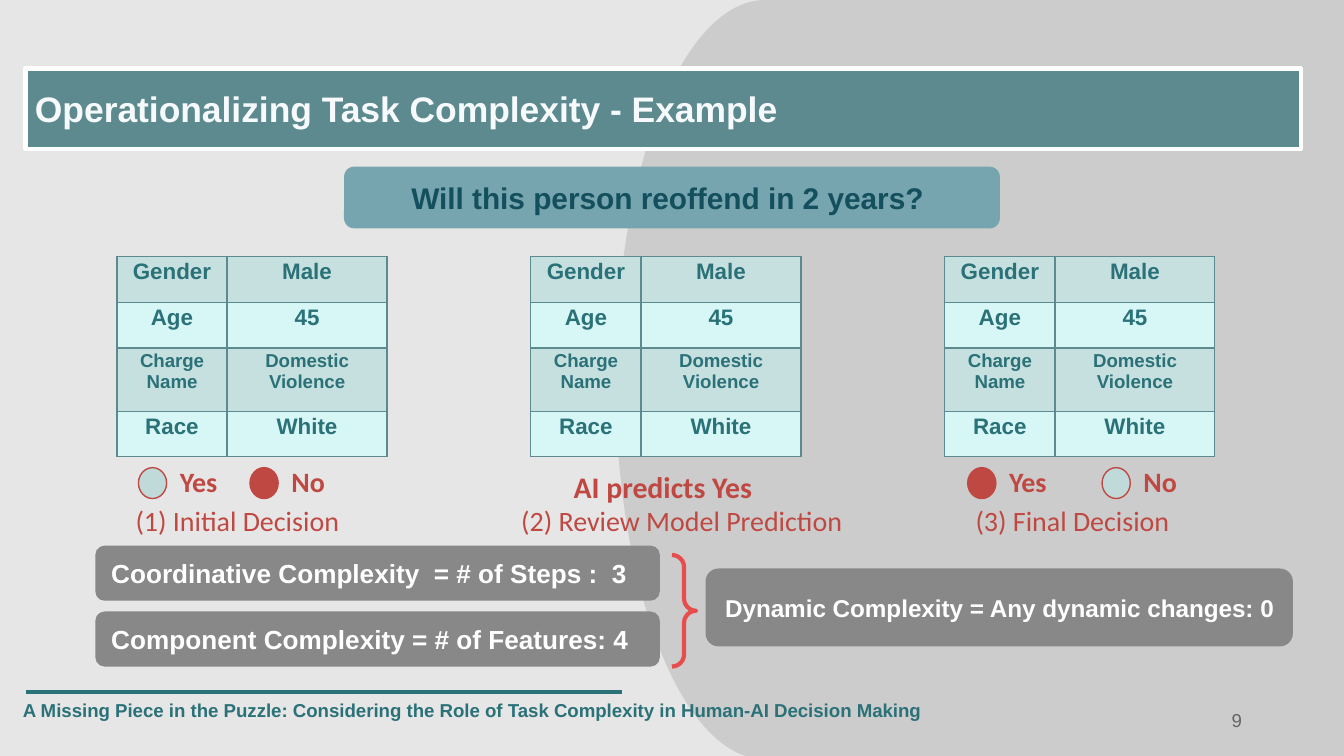
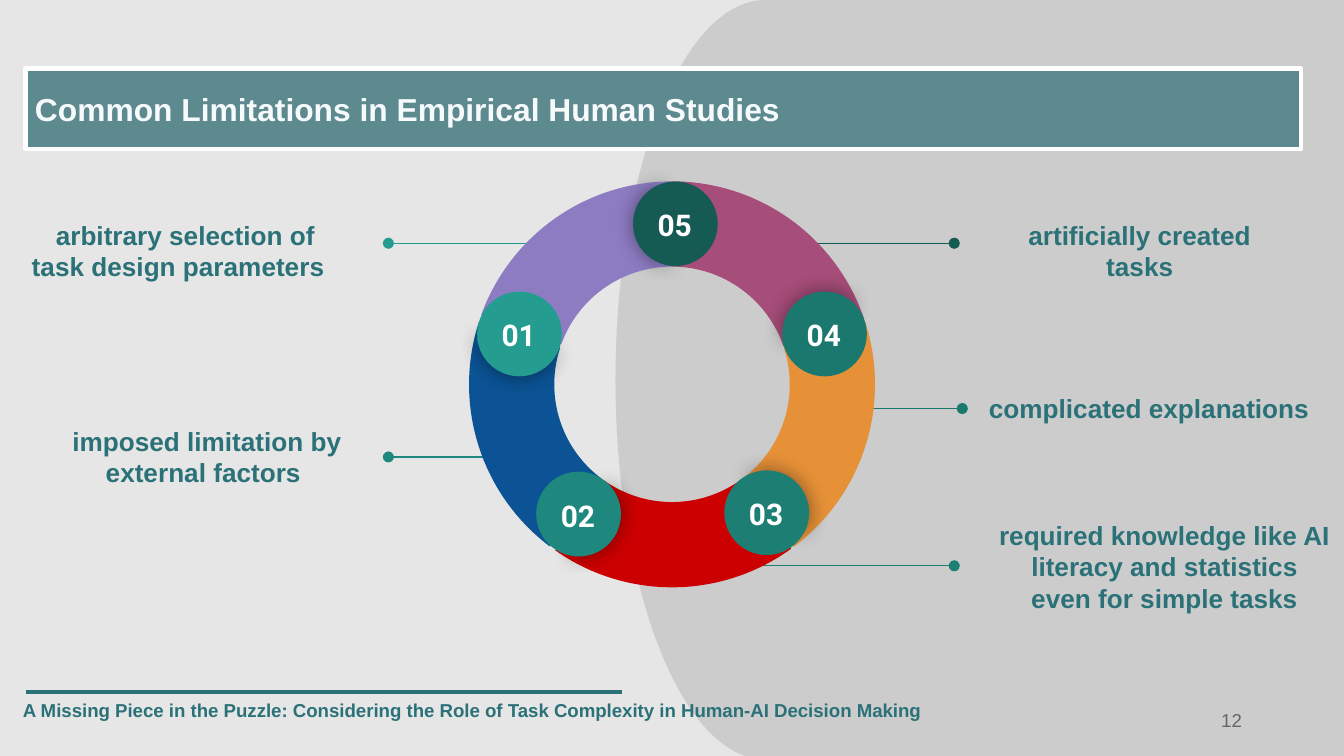
from dataclasses import dataclass

from pptx import Presentation
from pptx.dml.color import RGBColor
from pptx.enum.shapes import MSO_CONNECTOR, MSO_SHAPE
from pptx.enum.text import MSO_ANCHOR, PP_ALIGN
from pptx.oxml.ns import qn
from pptx.oxml.xmlchemy import OxmlElement
from pptx.util import Inches, Pt

LEFT, CENTER, RIGHT = PP_ALIGN.LEFT, PP_ALIGN.CENTER, PP_ALIGN.RIGHT
TOP, MIDDLE, BOTTOM = MSO_ANCHOR.TOP, MSO_ANCHOR.MIDDLE, MSO_ANCHOR.BOTTOM
RECT, OVAL = MSO_SHAPE.RECTANGLE, MSO_SHAPE.OVAL
PANEL, BACKDROP = MSO_SHAPE.FLOWCHART_ALTERNATE_PROCESS, MSO_SHAPE.FLOWCHART_STORED_DATA
BRACE, ARC, PIE = MSO_SHAPE.RIGHT_BRACE, MSO_SHAPE.BLOCK_ARC, MSO_SHAPE.PIE
STRAIGHT = MSO_CONNECTOR.STRAIGHT

PAPER = RGBColor(0xE7, 0xE6, 0xE6)
SILVER = RGBColor(0xCC, 0xCC, 0xCC)
GRAY = RGBColor(0x88, 0x88, 0x88)
NUMBER_GRAY = RGBColor(0x66, 0x66, 0x66)
WHITE = RGBColor(0xFF, 0xFF, 0xFF)
TITLE_WHITE = RGBColor(0xF6, 0xFA, 0xFC)
BAND = RGBColor(0x5D, 0x8A, 0x8E)
TEAL = RGBColor(0x2A, 0x71, 0x78)
QUESTION_FILL = RGBColor(0x76, 0xA5, 0xAF)
QUESTION_TEXT = RGBColor(0x13, 0x4F, 0x5C)
ROW_FILLS = (RGBColor(0xC6, 0xE0, 0xE0), RGBColor(0xD7, 0xF6, 0xF6))
UNCHOSEN = RGBColor(0xC0, 0xDA, 0xDA)
RED = RGBColor(0xBF, 0x49, 0x42)
BRACE_RED = RGBColor(0xE7, 0x4D, 0x4D)
BLUE = RGBColor(0x0B, 0x53, 0x94)
ORANGE = RGBColor(0xE6, 0x91, 0x38)
PLUM = RGBColor(0xA6, 0x4D, 0x79)
CRIMSON = RGBColor(0xCC, 0x00, 0x00)
VIOLET = RGBColor(0x8E, 0x7C, 0xC3)
STEP_1 = RGBColor(0x24, 0x9C, 0x90)
STEP_2 = RGBColor(0x1F, 0x88, 0x7E)
STEP_3 = RGBColor(0x1D, 0x7E, 0x74)
STEP_4 = RGBColor(0x1B, 0x78, 0x6E)
STEP_5 = RGBColor(0x15, 0x5B, 0x54)

FOOTER = ("A Missing Piece in the Puzzle: Considering the Role of Task Complexity "
          "in Human-AI Decision Making")
Box = tuple[float, float, float, float]
BAND_INSETS = (0.07, 0.04)
WIDE_INSETS = (0.1, 0.1)


@dataclass(frozen=True)
class Style:
    size: float
    color: RGBColor
    bold: bool = True
    font: str = "Arial"
    align: PP_ALIGN = LEFT
    anchor: MSO_ANCHOR = MIDDLE
    insets: tuple[float, float] = WIDE_INSETS
    space_after: float = 0


@dataclass(frozen=True)
class Option:
    left: float
    label: str
    chosen: bool


@dataclass(frozen=True)
class Panel:
    box: Box
    text: str
    style: Style


@dataclass(frozen=True)
class Callout:
    text: str
    box: Box
    start: float
    end: float
    y: float
    color: RGBColor


@dataclass(frozen=True)
class Segment:
    rotation: float
    color: RGBColor


@dataclass(frozen=True)
class Badge:
    label: str
    left: float
    top: float
    rotation: float
    color: RGBColor


PAGE_NUMBER = Style(10, NUMBER_GRAY, bold=False, align=RIGHT, insets=BAND_INSETS)
FOOTER_STYLE = Style(10, TEAL, anchor=BOTTOM, insets=BAND_INSETS)
QUESTION = Style(16, QUESTION_TEXT, align=CENTER)
ANSWER = Style(15, RED, font="Calibri", anchor=TOP)
PREDICTION = Style(16, RED, font="Calibri", anchor=TOP)
CAPTION = Style(15, RED, bold=False, font="Calibri", anchor=TOP)
COMPLEXITY = Style(14, WHITE)
DYNAMIC = Style(13, WHITE, align=CENTER)
LIMITATION = Style(14, TEAL, align=CENTER, space_after=16)
BADGE_NUMBER = Style(16, WHITE, font="Roboto", align=CENTER, anchor=TOP)

TABLE_LEFT, TABLE_STEP, TABLE_TOP = 0.87, 3.08, 1.91
COLUMN_WIDTHS = (0.82, 1.19)
# label, value, row height, text size
PROFILE = (
    ("Gender", "Male", 0.34, 12),
    ("Age", "45", 0.34, 12),
    ("Charge Name", "Domestic Violence", 0.47, 10),
    ("Race", "White", 0.34, 12),
)
OPTIONS = (
    Option(1.03, "Yes", False), Option(1.86, "No", True),
    Option(7.2, "Yes", True), Option(8.2, "No", False),
)
CAPTIONS = (
    ("(1) Initial Decision", 0.91, 2.12),
    ("(2) Review Model Prediction", 3.78, 2.64),
    ("(3) Final Decision", 7.16, 2.12),
)
PANELS = (
    Panel((0.71, 4.55, 4.2, 0.41), "Component Complexity = # of Features: 4", COMPLEXITY),
    Panel((0.71, 4.06, 4.2, 0.41), "Coordinative Complexity  = # of Steps :  3", COMPLEXITY),
    Panel((5.25, 4.23, 4.37, 0.58), "Dynamic Complexity = Any dynamic changes: 0", DYNAMIC),
)

CALLOUTS = (
    Callout("arbitrary selection of task design parameters  ",
            (0.1, 1.36, 2.56, 1.01), 4.23, 2.89, 1.81, STEP_1),
    Callout("imposed limitation by external factors ",
            (0.19, 2.89, 2.7, 1.01), 3.91, 2.89, 3.4, STEP_2),
    Callout("required knowledge like AI literacy and statistics even for simple tasks",
            (7.33, 3.71, 2.67, 1.01), 5.09, 7.1, 4.21, STEP_3),
    Callout("artificially created tasks",
            (7.32, 1.36, 2.32, 1.01), 5.7, 7.1, 1.81, STEP_5),
    Callout("complicated explanations",
            (7.24, 2.53, 2.62, 1.01), 6.14, 7.16, 3.04, STEP_4),
)
RING_BOX = (3.49, 1.35, 3.02, 3.02)
SEGMENT_ANGLES = (126.02, 168.68, 0.21)
BADGE_SIZE = 0.63
FRONT_ANGLES, BACK_ANGLES, BACK_TURN = (61.9, 149.96), (40.28, 171.84), 179.3
# Stacking order lets each badge cast its shadow on one segment only.
RING = (
    Segment(277, BLUE), Segment(132, ORANGE), Segment(60, PLUM),
    Badge("04", 5.82, 2.17, 67.1, STEP_4),
    Segment(204, CRIMSON),
    Badge("02", 3.99, 3.51, 211.1, STEP_2),
    Segment(350, VIOLET),
    Badge("05", 4.71, 1.35, 357.1, STEP_5),
    Badge("03", 5.39, 3.5, 139.1, STEP_3),
    Badge("01", 3.55, 2.17, 284.1, STEP_1),
)


def inches(box: Box) -> list:
    return [Inches(v) for v in box]


def write(tf, text: str, style: Style) -> None:
    tf.word_wrap = True
    tf.vertical_anchor = style.anchor
    tf.margin_left = tf.margin_right = Inches(style.insets[0])
    tf.margin_top = tf.margin_bottom = Inches(style.insets[1])
    p = tf.paragraphs[0]
    p.alignment = style.align
    p.space_after = Pt(style.space_after)
    r = p.add_run()
    r.text = text
    r.font.name = style.font
    r.font.size = Pt(style.size)
    r.font.bold = style.bold
    r.font.color.rgb = style.color


def add_text(shapes, box: Box, text: str, style: Style) -> None:
    write(shapes.add_textbox(*inches(box)).text_frame, text, style)


def add_shape(shapes, kind, box: Box, fill=None, line=None, width: float = 0.75,
              angles=(), rotation: float = 0):
    sp = shapes.add_shape(kind, *inches(box))
    sp.shadow.inherit = False
    sp.rotation = rotation
    for i, value in enumerate(angles):
        sp.adjustments[i] = value
    if fill is None:
        sp.fill.background()
    else:
        sp.fill.solid()
        sp.fill.fore_color.rgb = fill
    if line is None:
        sp.line.fill.background()
    else:
        sp.line.color.rgb = line
        sp.line.width = Pt(width)
    return sp


def add_line(shapes, x1: float, x2: float, y: float, color: RGBColor, width: float,
             dot: bool = False) -> None:
    """Draw a horizontal line, with a round end at x2 if dot is set."""
    cx = shapes.add_connector(STRAIGHT, *inches((x1, y, x2, y)))
    cx.line.color.rgb = color
    cx.line.width = Pt(width)
    spPr = cx._element.spPr
    if dot:
        tail = OxmlElement("a:tailEnd")
        tail.set("type", "oval")
        spPr.find(qn("a:ln")).append(tail)
    spPr.append(OxmlElement("a:effectLst"))


def add_glow_shadow(sp) -> None:
    shadow = OxmlElement("a:outerShdw")
    shadow.set("blurRad", str(Pt(11.2)))
    color = OxmlElement("a:srgbClr")
    color.set("val", "000000")
    alpha = OxmlElement("a:alpha")
    alpha.set("val", "43000")
    color.append(alpha)
    shadow.append(color)
    sp._element.spPr.find(qn("a:effectLst")).append(shadow)


def add_borders(cell) -> None:
    tcPr = cell._tc.get_or_add_tcPr()
    for side in ("a:lnL", "a:lnR", "a:lnT", "a:lnB"):
        ln = OxmlElement(side)
        ln.set("w", str(Pt(0.75)))
        fill = OxmlElement("a:solidFill")
        color = OxmlElement("a:srgbClr")
        color.set("val", str(BAND))
        fill.append(color)
        ln.append(fill)
        tcPr.append(ln)


def add_profile_table(s, left: float) -> None:
    box = (left, TABLE_TOP, sum(COLUMN_WIDTHS), sum(row[2] for row in PROFILE))
    table = s.shapes.add_table(len(PROFILE), len(COLUMN_WIDTHS), *inches(box)).table
    table.first_row = table.horz_banding = False
    for column, width in zip(table.columns, COLUMN_WIDTHS):
        column.width = Inches(width)
    for i, (label, value, height, size) in enumerate(PROFILE):
        table.rows[i].height = Inches(height)
        style = Style(size, TEAL, align=CENTER, anchor=TOP, insets=(0.02, 0.02))
        for cell, text in zip(table.rows[i].cells, (label, value)):
            add_borders(cell)
            cell.fill.solid()
            cell.fill.fore_color.rgb = ROW_FILLS[i % 2]
            cell.margin_left = cell.margin_right = Inches(0.02)
            cell.margin_top = cell.margin_bottom = Inches(0.02)
            write(cell.text_frame, text, style)


def add_slide(prs, title: str, title_size: float, number: int):
    s = prs.slides.add_slide(prs.slide_layouts[6])
    s.background.fill.solid()
    s.background.fill.fore_color.rgb = PAPER
    add_shape(s.shapes, BACKDROP, (4.58, 0, 6.68, 5.65), SILVER)
    band = add_shape(s.shapes, RECT, (0.19, 0.51, 9.49, 0.6), BAND, WHITE, 2.25)
    write(band.text_frame, title, Style(title_size, TITLE_WHITE, insets=BAND_INSETS))
    add_line(s.shapes, 0.19, 4.63, 5.15, TEAL, 2.25)
    add_text(s.shapes, (7.06, 5.21, 2.25, 0.3), str(number), PAGE_NUMBER)
    add_text(s.shapes, (0.1, 5.05, 8.79, 0.36), FOOTER, FOOTER_STYLE)
    return s


def add_badge(shapes, badge: Badge) -> None:
    """Build a disc from two slices, of which only the front one has a shadow."""
    box = (badge.left, badge.top, BADGE_SIZE, BADGE_SIZE)
    front = add_shape(shapes, PIE, box, badge.color, angles=FRONT_ANGLES, rotation=badge.rotation)
    add_glow_shadow(front)
    add_shape(shapes, PIE, box, badge.color, angles=BACK_ANGLES,
              rotation=(badge.rotation + BACK_TURN) % 360)
    add_text(shapes, (badge.left + 0.03, badge.top + 0.09, 0.56, 0.29), badge.label, BADGE_NUMBER)


def build_example(prs) -> None:
    s = add_slide(prs, "Operationalizing Task Complexity - Example", 19, 9)
    question = add_shape(s.shapes, PANEL, (2.56, 1.24, 4.88, 0.46), QUESTION_FILL)
    write(question.text_frame, "Will this person reoffend in 2 years? ", QUESTION)
    for i in range(3):
        add_profile_table(s, TABLE_LEFT + i * TABLE_STEP)
    for option in OPTIONS:
        add_shape(s.shapes, OVAL, (option.left, 3.48, 0.21, 0.23),
                  RED if option.chosen else UNCHOSEN, RED)
        add_text(s.shapes, (option.left + 0.21, 3.36, 0.87, 0.45), option.label, ANSWER)
    add_text(s.shapes, (4.17, 3.39, 1.7, 0.47), "AI predicts Yes", PREDICTION)
    for text, left, width in CAPTIONS:
        add_text(s.shapes, (left, 3.65, width, 0.45), text, CAPTION)
    for panel in PANELS:
        sp = add_shape(s.shapes, PANEL, panel.box, GRAY)
        write(sp.text_frame, panel.text, panel.style)
    add_shape(s.shapes, BRACE, (5, 4.13, 0.18, 0.83), None, BRACE_RED, 2.25, (0.5, 0.5))


def build_limitations(prs) -> None:
    s = add_slide(prs, "Common Limitations in Empirical Human Studies", 17, 12)
    for callout in CALLOUTS:
        group = s.shapes.add_group_shape().shapes
        add_line(group, callout.start, callout.end, callout.y, callout.color, 0.75, dot=True)
        add_text(group, callout.box, callout.text, LIMITATION)
    ring = s.shapes.add_group_shape().shapes
    for part in RING:
        if isinstance(part, Badge):
            add_badge(ring, part)
        else:
            add_shape(ring, ARC, RING_BOX, part.color, angles=SEGMENT_ANGLES,
                      rotation=part.rotation)


def main() -> None:
    prs = Presentation()
    prs.slide_width = Inches(10)
    prs.slide_height = prs.slide_width * 9 // 16
    build_example(prs)
    build_limitations(prs)
    prs.save("out.pptx")


if __name__ == "__main__":
    main()
